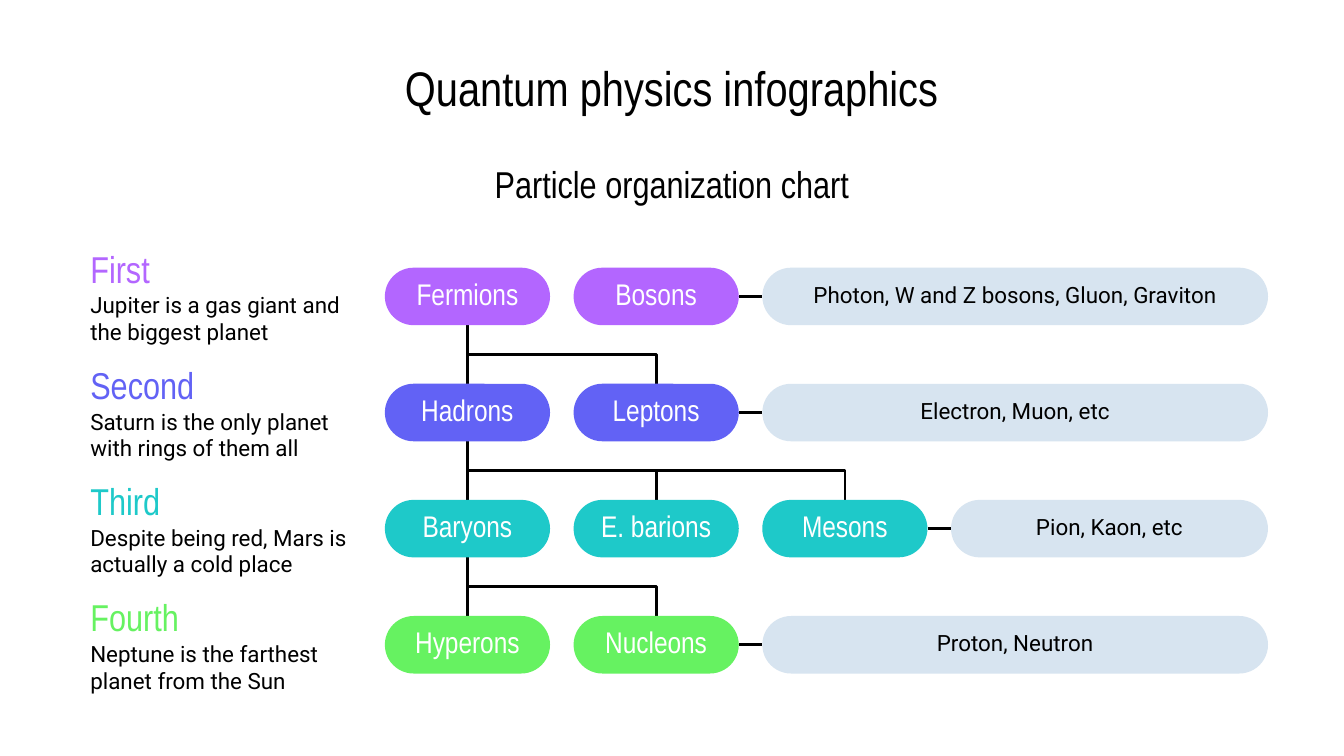
import pptx
import pptx.util
import pptx.dml.color
import pptx.enum.shapes
import pptx.enum.text
import pptx.oxml.ns
import lxml.etree

Pt = pptx.util.Pt
ALIGN = pptx.enum.text.PP_ALIGN
HEAD, BODY = "Arial Narrow", "Roboto"
COLORS = {
    "black": "000000", "white": "FFFFFF", "pale": "D7E4F0",
    "purple": "B366FF", "blue": "6262F5", "teal": "1EC9C9", "green": "66F261",
}

# color, label, note, pills, members
ROWS = [
    ("purple", "First", "Jupiter is a gas giant and the biggest planet",
     ["Fermions", "Bosons"], "Photon, W and Z bosons, Gluon, Graviton"),
    ("blue", "Second", "Saturn is the only planet with rings of them all",
     ["Hadrons", "Leptons"], "Electron, Muon, etc"),
    ("teal", "Third", "Despite being red, Mars is actually a cold place",
     ["Baryons", "E. barions", "Mesons"], "Pion, Kaon, etc"),
    ("green", "Fourth", "Neptune is the farthest planet from the Sun",
     ["Hyperons", "Nucleons"], "Proton, Neutron"),
]
LEFT, TOP, RIGHT = 206.2, 143.4, 679.3
STEP_X, STEP_Y = 101.1, 62.2
WIDE, HIGH = 88.5, 30.8


class Deck:
    def __init__(self):
        self.prs = pptx.Presentation()
        self.prs.slide_width, self.prs.slide_height = Pt(720), Pt(405)
        self.slide = self.prs.slides.add_slide(self.prs.slide_layouts[5])

    def color(self, name):
        return pptx.dml.color.RGBColor.from_string(COLORS[name])

    def label(self, shape, text, size, face, color, align, inset=7.2):
        """Fill a shape with one styled paragraph; inset is the top margin."""
        frame = shape.text_frame
        frame.text = text
        frame.word_wrap = True
        frame.auto_size = pptx.enum.text.MSO_AUTO_SIZE.NONE
        frame.vertical_anchor = pptx.enum.text.MSO_ANCHOR.MIDDLE
        frame.margin_left = frame.margin_right = frame.margin_bottom = Pt(7.2)
        frame.margin_top = Pt(inset)
        para = frame.paragraphs[0]
        para.alignment = align
        font = para.runs[0].font
        font.size, font.name = Pt(size), face
        font.color.rgb = self.color(color)

    def title(self, text, x, y, w, h):
        shape = self.slide.shapes.title
        shape.left, shape.top, shape.width, shape.height = map(Pt, (x, y, w, h))
        self.label(shape, text, 26, HEAD, "black", ALIGN.CENTER)

    def text(self, text, x, y, w, h, size, face, color="black", align=ALIGN.LEFT):
        box = self.slide.shapes.add_textbox(*map(Pt, (x, y, w, h)))
        self.label(box, text, size, face, color, align)

    def pill(self, text, x, y, w, fill, size, face, color, inset):
        shape = self.slide.shapes.add_shape(
            pptx.enum.shapes.MSO_SHAPE.ROUNDED_RECTANGLE, *map(Pt, (x, y, w, HIGH)))
        shape.adjustments[0] = 0.5
        shape.shadow.inherit = False
        shape.fill.solid()
        shape.fill.fore_color.rgb = self.color(fill)
        shape.line.fill.background()
        self.label(shape, text, size, face, color, ALIGN.CENTER, inset)

    def link(self, x1, y1, x2, y2):
        """Draw an elbow that leaves its start point sideways."""
        line = self.slide.shapes.add_connector(
            pptx.enum.shapes.MSO_CONNECTOR.ELBOW, *map(Pt, (x1, y1, x2, y2)))
        line.line.color.rgb = self.color("black")
        line.line.width = Pt(1.5)
        props = line._element.spPr
        lxml.etree.SubElement(props, pptx.oxml.ns.qn("a:effectLst"))
        return line

    def drop(self, x1, y1, x2, y2):
        """Draw an elbow that leaves its start point downwards: a link turned 270 degrees."""
        mid_x, mid_y = (x1 + x2) / 2, (y1 + y2) / 2
        half_x, half_y = (x2 - x1) / 2, (y2 - y1) / 2
        line = self.link(mid_x + half_y, mid_y - half_x, mid_x - half_y, mid_y + half_x)
        line._element.spPr.find(pptx.oxml.ns.qn("a:xfrm")).set("rot", "16200000")


def col(i):
    return LEFT + i * STEP_X


def main():
    deck = Deck()
    deck.title("Quantum physics infographics", 158.2, 23.8, 403.6, 45.4)
    deck.text("Particle organization chart", 158.2, 85, 403.6, 26.6, 20, HEAD,
              align=ALIGN.CENTER)

    for i, (_, _, _, names, _) in enumerate(ROWS):
        y = TOP + i * STEP_Y
        end, mid = len(names), y + HIGH / 2
        deck.link(col(end - 1) + WIDE, mid, col(end), mid)
        if i:
            for j in range(end):
                deck.drop(LEFT + WIDE / 2, y - STEP_Y + HIGH, col(j) + WIDE / 2, y)

    for i, (color, label, note, names, members) in enumerate(ROWS):
        y = TOP + i * STEP_Y
        deck.text(note, 41.3, y + 9.2, 152.6, 36, 12, BODY)
        deck.text(label, 41.3, y - 12.8, 152.6, 26.6, 20, HEAD, color)
        for j, name in enumerate(names):
            deck.pill(name, col(j), y, WIDE, color, 16, HEAD, "white", 4.3)
        x = col(len(names))
        deck.pill(members, x, y, RIGHT - x, "pale", 12, BODY, "black", 5)

    deck.prs.save("out.pptx")


if __name__ == "__main__":
    main()
